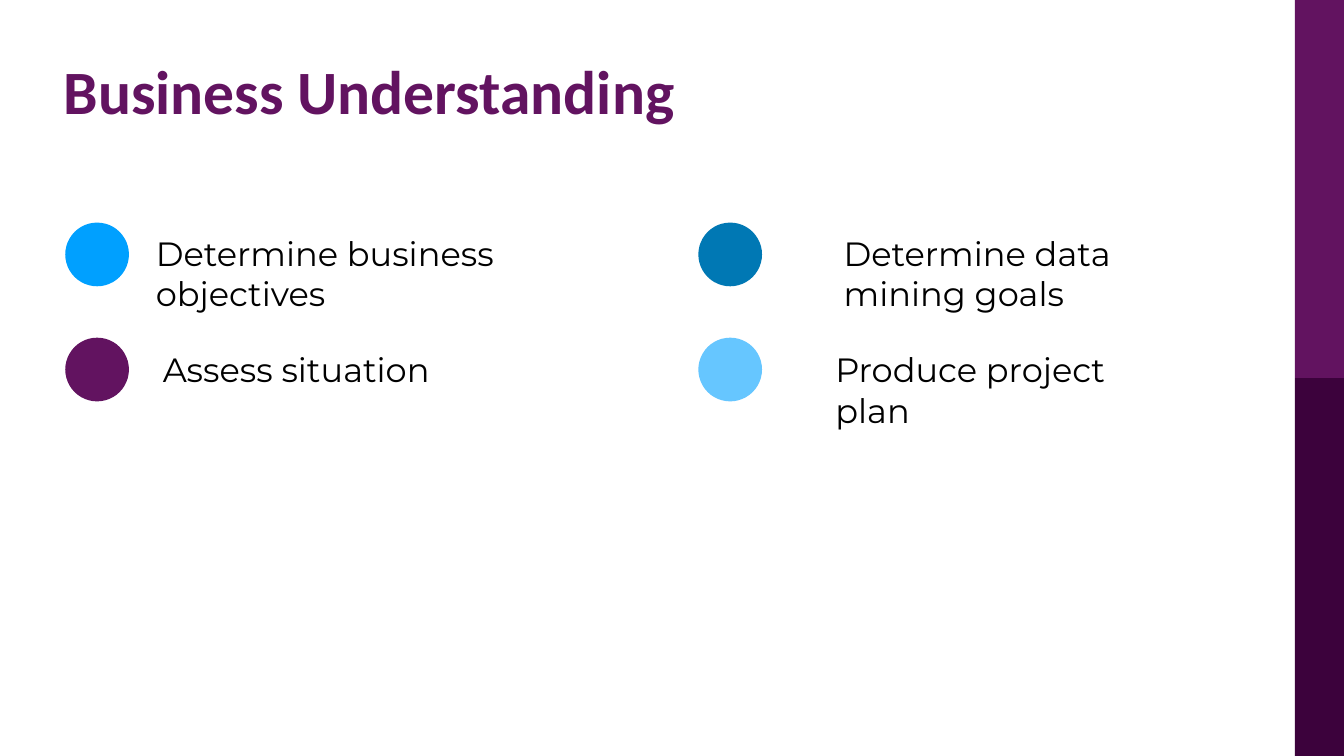
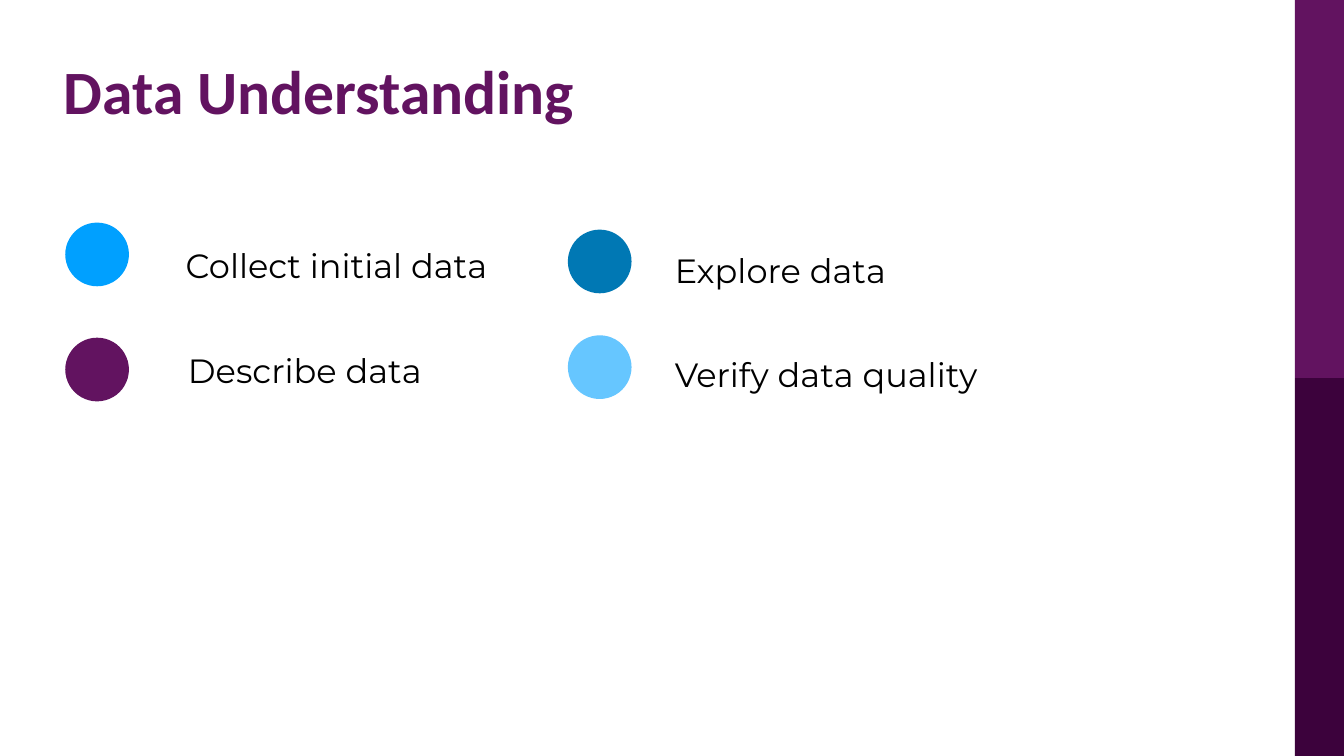
from pptx import Presentation
from pptx.dml.color import RGBColor
from pptx.enum.shapes import MSO_SHAPE
from pptx.enum.text import MSO_ANCHOR, MSO_AUTO_SIZE, PP_ALIGN
from pptx.util import Pt

PURPLE = RGBColor(0x62, 0x13, 0x60)
DARK_PURPLE = RGBColor(0x3C, 0x02, 0x3C)
BRIGHT_BLUE = RGBColor(0x00, 0xA0, 0xFF)
DEEP_BLUE = RGBColor(0x00, 0x78, 0xB4)
LIGHT_BLUE = RGBColor(0x66, 0xC6, 0xFF)
BLACK = RGBColor(0, 0, 0)

TITLE_FONT, LABEL_FONT = "Calibri", "Montserrat"
SLIDE_W, SLIDE_H = 960, 540
BAND_W = 35
DOT = 45.5
LABEL_INSET = 1.8
LEFT_DOTS = 46.6
ROW_TOPS = (159, 241.2)
LEFT, RIGHT = PP_ALIGN.LEFT, PP_ALIGN.RIGHT

# Each task: wording, dot colour, dot (left, top), label (left, top, width, height), alignment
SLIDES = [
    ("Business Understanding", [
        ("Determine business objectives", BRIGHT_BLUE, (LEFT_DOTS, ROW_TOPS[0]),
         (109.5, 164.2, 329, 62), LEFT),
        ("Assess situation", PURPLE, (LEFT_DOTS, ROW_TOPS[1]),
         (114.5, 247.7, 200, 32.4), LEFT),
        ("Determine data mining goals", DEEP_BLUE, (498.8, ROW_TOPS[0]),
         (600.8, 164.2, 274, 62), LEFT),
        ("Produce project plan", LIGHT_BLUE, (498.8, ROW_TOPS[1]),
         (594.9, 247.7, 209, 62), LEFT),
    ]),
    ("Data Understanding", [
        ("Collect initial data", BRIGHT_BLUE, (LEFT_DOTS, ROW_TOPS[0]),
         (106.6, 172.8, 243.2, 32.4), RIGHT),
        ("Describe data", PURPLE, (LEFT_DOTS, ROW_TOPS[1]),
         (106.6, 248.4, 196.3, 32.4), RIGHT),
        ("Explore data", DEEP_BLUE, (405.6, 164),
         (480.2, 176.4, 166.3, 32.4), LEFT),
        ("Verify data quality", LIGHT_BLUE, (405.6, 239.5),
         (480.2, 251.3, 252.7, 32.4), LEFT),
    ]),
]


def add_filled(slide, preset, left, top, width, height, color):
    shape = slide.shapes.add_shape(preset, Pt(left), Pt(top), Pt(width), Pt(height))
    shape.shadow.inherit = False
    shape.fill.solid()
    shape.fill.fore_color.rgb = color
    shape.line.fill.background()
    return shape


def style_text(paragraph, font_name, size, color, align, bold=False):
    paragraph.alignment = align
    font = paragraph.runs[0].font
    font.name, font.size, font.bold = font_name, Pt(size), bold
    font.color.rgb = color


def set_up_layout(layout, slide):
    """Place the title and move the side bands, drawn on slide, into its layout."""
    title = layout.placeholders[0]
    title.left, title.top, title.width, title.height = map(Pt, (38.2, 43.9, 877.7, 89.3))
    half = SLIDE_H / 2
    for top, color in ((half, DARK_PURPLE), (0, PURPLE)):
        band = add_filled(slide, MSO_SHAPE.RECTANGLE,
                          SLIDE_W - BAND_W, top, BAND_W, half, color)
        layout.shapes._spTree.insert(2, band._element)


def add_title(slide, wording):
    frame = slide.shapes.title.text_frame
    frame.text = wording
    frame.vertical_anchor = MSO_ANCHOR.TOP
    frame.auto_size = MSO_AUTO_SIZE.NONE
    paragraph = frame.paragraphs[0]
    paragraph.line_spacing = 0.82
    style_text(paragraph, TITLE_FONT, 44, PURPLE, LEFT, bold=True)


def add_task(slide, wording, color, dot_at, label_box, align):
    frame = slide.shapes.add_textbox(*map(Pt, label_box)).text_frame
    frame.word_wrap = True
    frame.margin_left = frame.margin_right = Pt(LABEL_INSET)
    frame.margin_top = frame.margin_bottom = Pt(LABEL_INSET)
    frame.text = wording
    style_text(frame.paragraphs[0], LABEL_FONT, 24, BLACK, align)
    add_filled(slide, MSO_SHAPE.OVAL, *dot_at, DOT, DOT, color)


def main():
    deck = Presentation()
    deck.slide_width, deck.slide_height = Pt(SLIDE_W), Pt(SLIDE_H)
    layout = deck.slide_layouts.get_by_name("Title Only")
    slides = [deck.slides.add_slide(layout) for _ in SLIDES]
    set_up_layout(layout, slides[0])
    for slide, (title, tasks) in zip(slides, SLIDES):
        add_title(slide, title)
        for task in tasks:
            add_task(slide, *task)
    deck.save("out.pptx")


if __name__ == "__main__":
    main()
